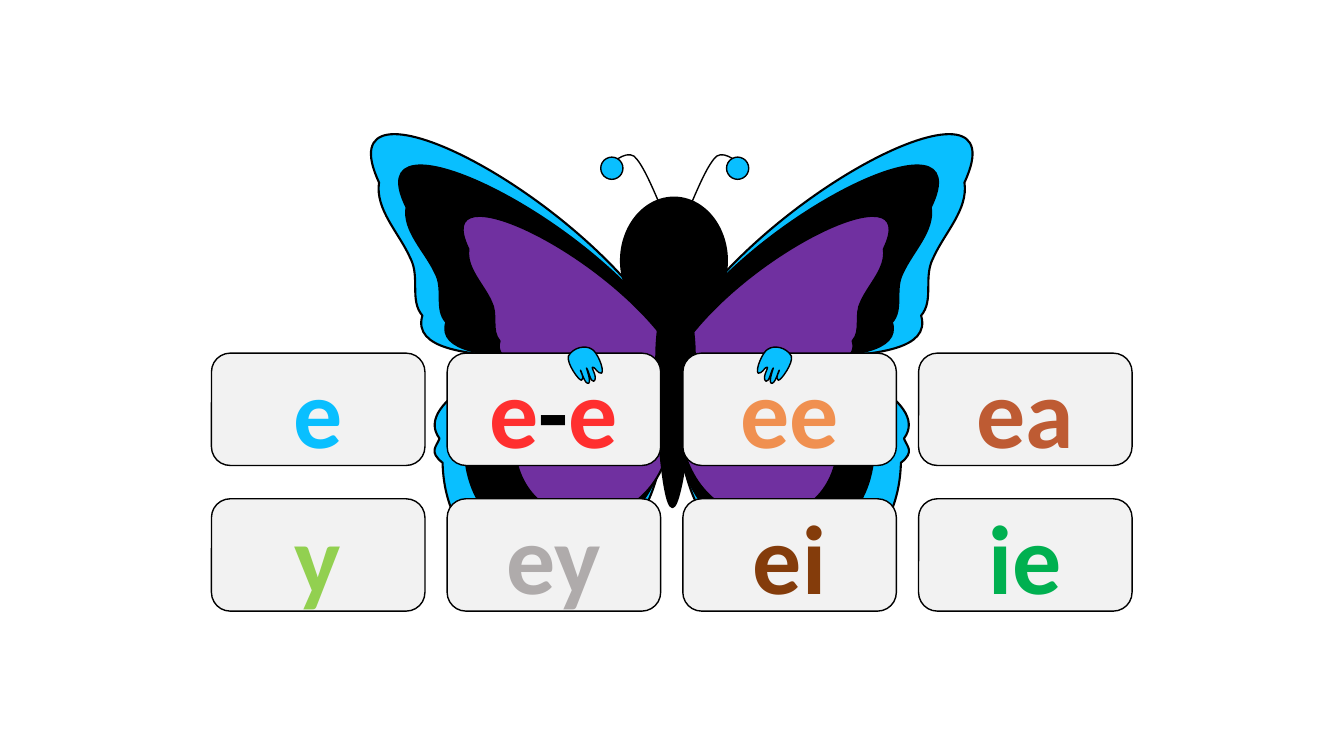
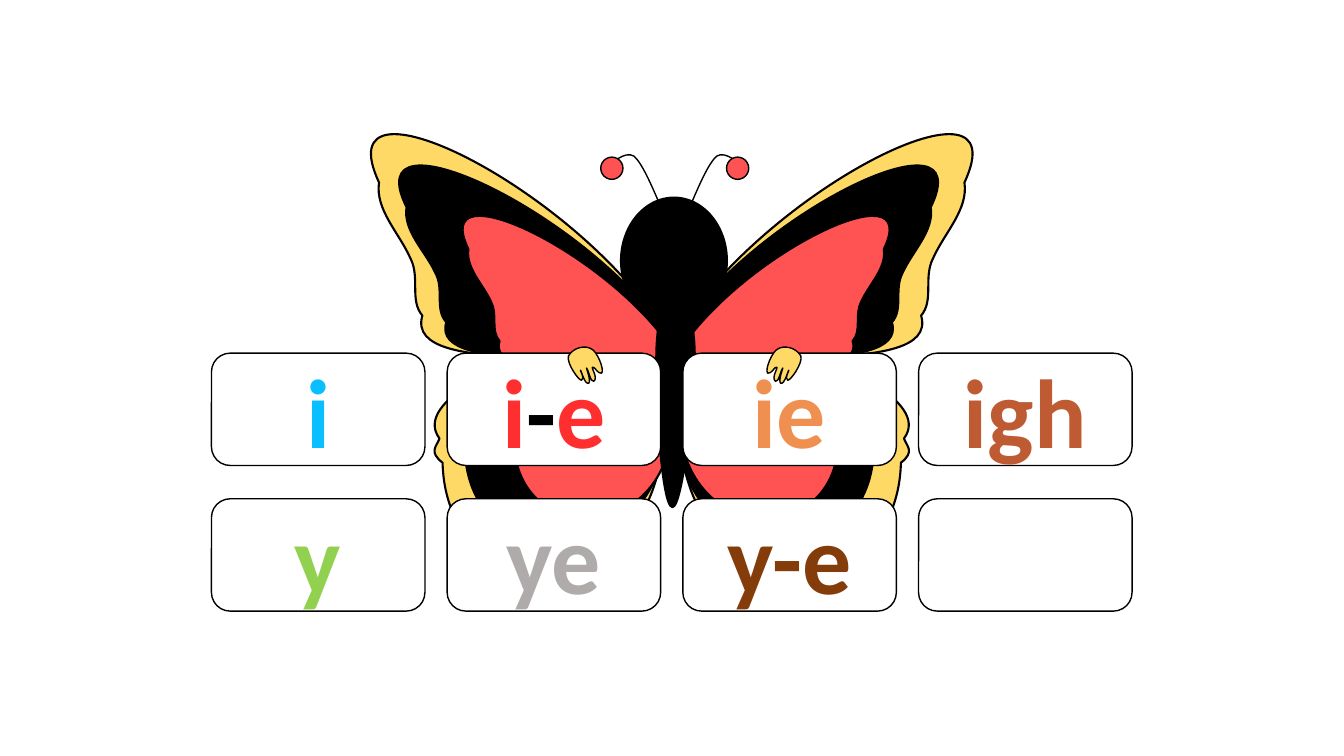
import dataclasses

import lxml.etree
import pptx
import pptx.dml.color
import pptx.enum.shapes
import pptx.enum.text
import pptx.oxml.ns
import pptx.util

Cm = pptx.util.Cm
Pt = pptx.util.Pt
qn = pptx.oxml.ns.qn
PRESETS = pptx.enum.shapes.MSO_SHAPE


@dataclasses.dataclass(frozen=True)
class Theme:
    black: str = "000000"
    font: str = "Calibri"
    card_size: float = 69.9
    thick: float = 1.5
    thin: float = 1
    card_colours: tuple = ("09BFFF", "FF2F2F", "F09050", "BE5B33",
                           "92D050", "AFABAB", "843C0B", "00B050")


@dataclasses.dataclass(frozen=True)
class Outline:
    """Drawing on its own grid: a start, then lines (one point) or curves (three)."""
    width: int
    height: int
    start: tuple
    steps: tuple
    closed: bool = True


@dataclasses.dataclass(frozen=True)
class Butterfly:
    edge: str
    centre: str
    tips: str
    card_fill: str
    right_hand: float
    cards: tuple


THEME = Theme()

WING = Outline(292, 435, (284, 48), (
    ((340, -72), (88, 54), (0, 197)),
    ((2, 295),),
    ((8, 474), (217, 478), (221, 326)),
    ((235, 315), (227, 310), (224, 302)),
    ((253, 263), (141, 224), (153, 221)),
    ((194, 218), (251, 214), (241, 180)),
    ((254, 165), (243, 142), (253, 123)),
    ((264, 98), (288, 75), (284, 48)),
))
BODY = Outline(38, 216, (0, 68), (
    ((0, 32), (8, 0), (19, 0)),
    ((29, 0), (38, 30), (38, 68)),
    ((38, 105), (26, 216), (16, 216)),
    ((5, 216), (-1, 104), (0, 68)),
))
ANTENNA = Outline(51, 50, (0, 50), (
    ((9, 29), (18, 8), (26, 1)),
    ((35, -5), (50, 10), (50, 10)),
), closed=False)
HAND = Outline(35, 37, (1, 27), (
    ((-2, 23), (6, 5), (11, 3)),
    ((17, -1), (29, 1), (34, 10)),
    ((36, 17), (24, 34), (21, 34)),
    ((17, 32), (23, 24), (22, 24)),
    ((21, 25), (18, 38), (14, 37)),
    ((11, 35), (17, 20), (16, 22)),
    ((14, 24), (12, 36), (9, 35)),
    ((4, 32), (12, 21), (10, 21)),
    ((8, 20), (5, 28), (1, 27)),
))

# In a card, every second piece of text is black.
BUTTERFLIES = (
    Butterfly("09BFFF", "7030A0", "09BFFF", "F2F2F2", 19.08,
              (("e",), ("e", "-", "e"), ("ee",), ("ea",),
               ("y",), ("ey",), ("ei",), ("ie",))),
    Butterfly("FFD966", "FF5353", "FF5353", "FFFFFF", 19.32,
              (("i",), ("i", "-", "e"), ("ie",), ("igh",),
               ("y",), ("ye",), ("y-e",), ())),
)


def rgb(colour):
    return pptx.dml.color.RGBColor.from_string(colour)


def paint(shape, fill, line_width):
    shape.shadow.inherit = False
    if fill is None:
        shape.fill.background()
    else:
        shape.fill.solid()
        shape.fill.fore_color.rgb = rgb(fill)
    shape.line.color.rgb = rgb(THEME.black)
    shape.line.width = Pt(line_width)


def trace(shape, outline, mirrored):
    """Give a freeform the lines and curves of an outline."""
    track = shape.element.find(".//" + qn("a:path"))
    for child in list(track):
        track.remove(child)
    track.set("w", str(outline.width))
    track.set("h", str(outline.height))

    def draw(tag, points):
        move = lxml.etree.SubElement(track, qn(tag))
        for x, y in points:
            point = lxml.etree.SubElement(move, qn("a:pt"))
            point.set("x", str(outline.width - x if mirrored else x))
            point.set("y", str(y))

    draw("a:moveTo", [outline.start])
    for step in outline.steps:
        draw("a:lnTo" if len(step) == 1 else "a:cubicBezTo", step)
    if outline.closed:
        draw("a:close", [])


def add_outline(shapes, outline, box, fill, line_width, mirrored=False):
    """Fit an outline to a box (left, top, width, height in cm)."""
    left, top, width, height = box
    builder = shapes.build_freeform(Cm(left), Cm(top))
    builder.add_line_segments([(Cm(left + width), Cm(top + height))], close=False)
    shape = builder.convert_to_shape()
    trace(shape, outline, mirrored)
    paint(shape, fill, line_width)


def add_preset(shapes, preset, box, fill, line_width):
    shape = shapes.add_shape(preset, *(Cm(length) for length in box))
    paint(shape, fill, line_width)
    return shape


def add_wings(shapes, look):
    layers = (
        (look.edge, 3.38, 11.05, (9.35, 7.42), (17.09, 7.42)),
        (THEME.black, 4.17, 9.55, (10.06, 6.81), (16.99, 6.65)),
        (look.centre, 5.44, 7.62, (11.66, 5.33), (17.09, 5.33)),
    )
    for fill, top, height, *sides in layers:
        for (left, width), mirrored in zip(sides, (True, False)):
            add_outline(shapes, WING, (left, top, width, height), fill,
                        THEME.thick, mirrored)


def add_antennae(shapes, look):
    for stalk, tip, mirrored in ((15.34, 15.14, True), (17.4, 18.31, False)):
        add_outline(shapes, ANTENNA, (stalk, 3.91, 1.3, 1.27), None,
                    THEME.thin, mirrored)
        add_preset(shapes, PRESETS.OVAL, (tip, 3.96, 0.56, 0.56),
                   look.tips, THEME.thin)


def add_butterfly(page, look):
    shapes = page.shapes.add_group_shape().shapes
    add_wings(shapes, look)
    add_outline(shapes, BODY, (16.54, 7.29, 0.97, 5.49), THEME.black, THEME.thick)
    add_preset(shapes, PRESETS.OVAL, (15.65, 4.98, 2.67, 3.18),
               THEME.black, THEME.thick)
    add_antennae(shapes, look)


def add_card(page, box, fill, pieces, colour):
    card = add_preset(page.shapes, PRESETS.ROUNDED_RECTANGLE, box, fill, THEME.thin)
    card.text_frame.vertical_anchor = pptx.enum.text.MSO_ANCHOR.MIDDLE
    para = card.text_frame.paragraphs[0]
    para.alignment = pptx.enum.text.PP_ALIGN.CENTER
    for index, piece in enumerate(pieces):
        span = para.add_run()
        span.text = piece
        span.font.name = THEME.font
        span.font.size = Pt(THEME.card_size)
        span.font.bold = True
        span.font.color.rgb = rgb(THEME.black if index % 2 else colour)


def add_cards(page, look):
    for index, (pieces, colour) in enumerate(zip(look.cards, THEME.card_colours)):
        row, column = divmod(index, 4)
        box = (5.33 + 5.94 * column, 8.9 + 3.67 * row, 5.38, 2.83)
        add_card(page, box, look.card_fill, pieces, colour)


def add_hands(page, look):
    for left, mirrored in ((14.3, True), (look.right_hand, False)):
        add_outline(page.shapes, HAND, (left, 8.72, 0.89, 0.94), look.edge,
                    THEME.thin, mirrored)


def main():
    deck = pptx.Presentation()
    deck.slide_width, deck.slide_height = Cm(33.87), Cm(19.05)
    blank = deck.slide_layouts[6]
    for look in BUTTERFLIES:
        page = deck.slides.add_slide(blank)
        add_butterfly(page, look)
        add_cards(page, look)
        add_hands(page, look)
    deck.save("out.pptx")


if __name__ == "__main__":
    main()
